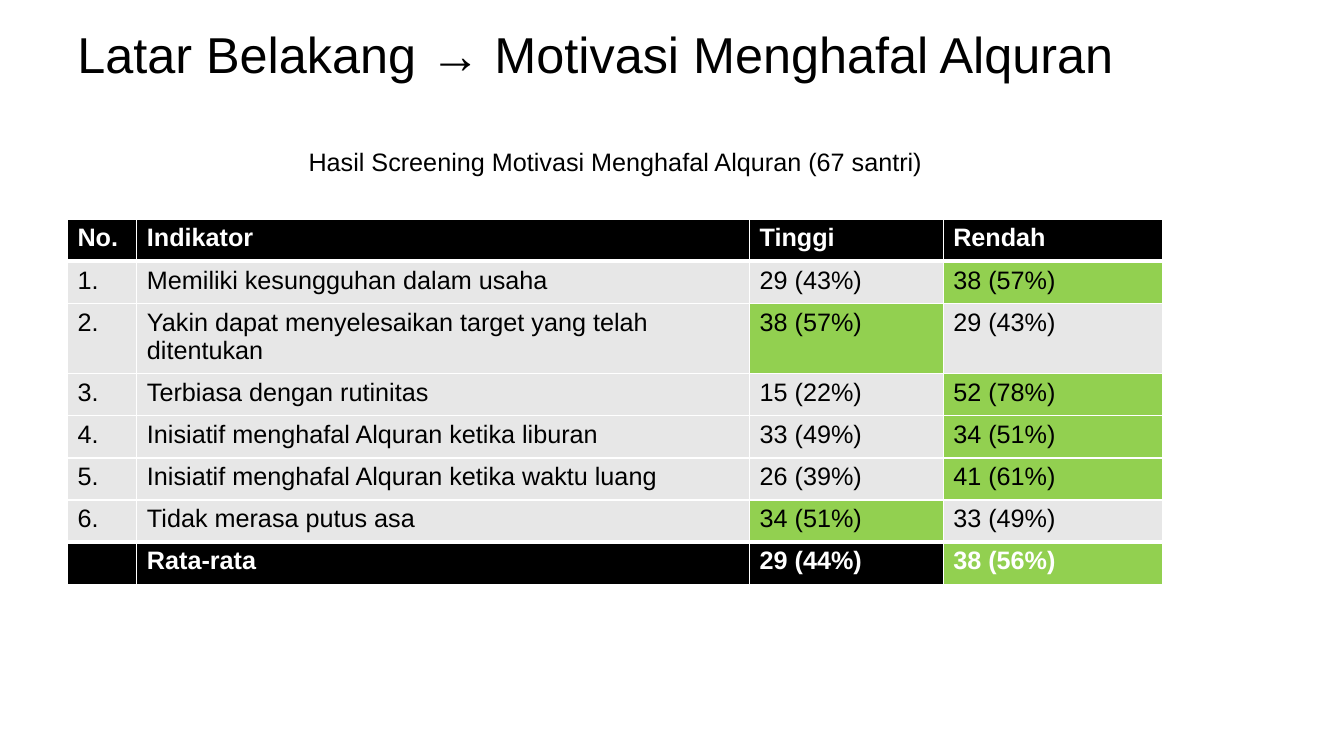
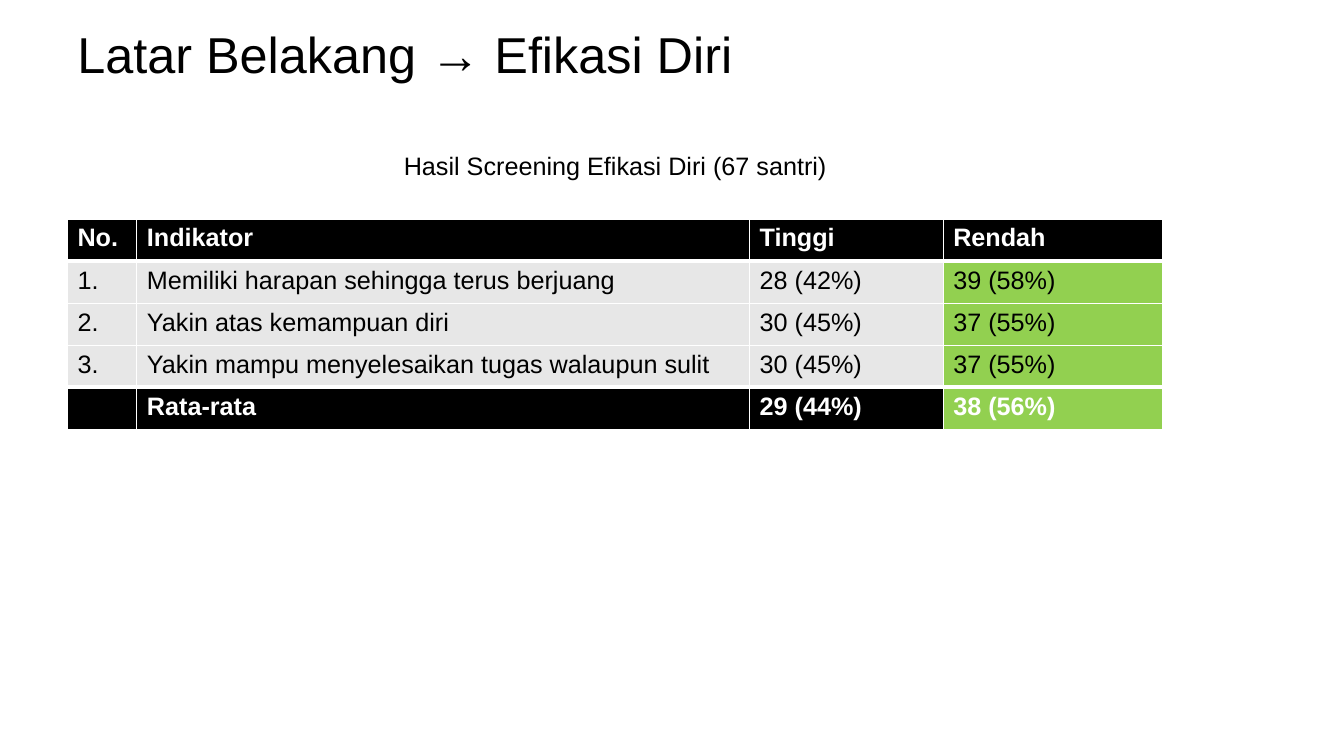
from dataclasses import dataclass

from lxml.etree import SubElement
from pptx import Presentation
from pptx.dml.color import RGBColor
from pptx.enum.text import MSO_ANCHOR as Anchor, PP_ALIGN as Align
from pptx.oxml.ns import qn
from pptx.util import Cm, Pt

FONT = "Arial"
BLACK, WHITE, GREY, GREEN = "000000", "FFFFFF", "E7E7E7", "92D050"
THIN, THICK = 1, 3
COLUMN_WIDTHS = [1.75, 15.44, 4.88, 5.54]
ROW_HEIGHT = 1.06
HEADINGS = ["No.", "Indikator", "Tinggi", "Rendah"]


@dataclass
class Box:
    left: float
    top: float
    width: float
    height: float

    def lengths(self):
        return [Cm(side) for side in (self.left, self.top, self.width, self.height)]


PAGE = Box(0, 0, 33.87, 19.05)
TITLE = Box(1.7, 0.53, 30.48, 1.63)
TABLE_LEFT, TABLE_TOP = 1.7, 5.52

SCREENINGS = [
    {
        "title": "Latar Belakang → Motivasi Menghafal Alquran",
        "caption": "Hasil Screening Motivasi Menghafal Alquran (67 santri)",
        "caption_top": 3.56,
        "indicators": [
            ("Memiliki kesungguhan dalam usaha", "29 (43%)", "38 (57%)"),
            ("Yakin dapat menyelesaikan target yang telah ditentukan", "38 (57%)", "29 (43%)"),
            ("Terbiasa dengan rutinitas", "15 (22%)", "52 (78%)"),
            ("Inisiatif menghafal Alquran ketika liburan", "33 (49%)", "34 (51%)"),
            ("Inisiatif menghafal Alquran ketika waktu luang", "26 (39%)", "41 (61%)"),
            ("Tidak merasa putus asa", "34 (51%)", "33 (49%)"),
        ],
        "average": ("Rata-rata", "29 (44%)", "38 (56%)"),
    },
    {
        "title": "Latar Belakang → Efikasi Diri",
        "caption": "Hasil Screening Efikasi Diri (67 santri)",
        "caption_top": 3.66,
        "indicators": [
            ("Memiliki harapan sehingga terus berjuang", "28 (42%)", "39 (58%)"),
            ("Yakin atas kemampuan diri", "30 (45%)", "37 (55%)"),
            ("Yakin mampu menyelesaikan tugas walaupun sulit", "30 (45%)", "37 (55%)"),
        ],
        "average": ("Rata-rata", "29 (44%)", "38 (56%)"),
    },
]


def color(hex_code):
    return RGBColor.from_string(hex_code)


def add_span(para, text, size, ink=BLACK, bold=False):
    span = para.add_run()
    span.text = text
    span.font.name = FONT
    span.font.size = Pt(size)
    span.font.bold = bold
    span.font.color.rgb = color(ink)


def add_line_of_text(page, box, text, size, align=Align.LEFT):
    frame = page.shapes.add_textbox(*box.lengths()).text_frame
    frame.word_wrap = True
    frame.vertical_anchor = Anchor.MIDDLE
    para = frame.paragraphs[0]
    para.alignment = align
    add_span(para, text, size)


def add_borders(cell, top, bottom):
    properties = cell._tc.get_or_add_tcPr()
    for side, weight in (("L", THIN), ("R", THIN), ("T", top), ("B", bottom)):
        line = SubElement(properties, qn(f"a:ln{side}"), w=str(Pt(weight)))
        SubElement(SubElement(line, qn("a:solidFill")), qn("a:srgbClr"), val=WHITE)


def fill_cell(cell, text, background, ink, bold):
    cell.fill.solid()
    cell.fill.fore_color.rgb = color(background)
    if text:
        add_span(cell.text_frame.paragraphs[0], text, 18, ink, bold)


def higher_column(row):
    counts = [int(score.split()[0]) for score in row[2:]]
    return 2 + counts.index(max(counts))


def add_score_table(page, box, rows):
    table = page.shapes.add_table(len(rows), len(HEADINGS), *box.lengths()).table
    table.horz_banding = False
    for column, width in zip(table.columns, COLUMN_WIDTHS):
        column.width = Cm(width)
    last = len(rows) - 1
    for index, row in enumerate(rows):
        table.rows[index].height = Cm(ROW_HEIGHT)
        strong = index in (0, last)
        marked = higher_column(row) if index else None
        top = THICK if index in (1, last) else THIN
        bottom = THICK if index in (0, last - 1) else THIN
        for place, text in enumerate(row):
            cell = table.cell(index, place)
            add_borders(cell, top, bottom)
            plain = BLACK if strong else GREY
            background = GREEN if place == marked else plain
            fill_cell(cell, text, background, WHITE if strong else BLACK, strong)


def add_screening_page(deck, screening):
    page = deck.slides.add_slide(deck.slide_layouts[6])
    numbered = [(f"{number}.", *row) for number, row in enumerate(screening["indicators"], 1)]
    rows = [HEADINGS, *numbered, ("", *screening["average"])]
    table_box = Box(TABLE_LEFT, TABLE_TOP, sum(COLUMN_WIDTHS), ROW_HEIGHT * len(rows))
    caption_box = Box(table_box.left, screening["caption_top"], table_box.width, 1.02)
    add_line_of_text(page, TITLE, screening["title"], 36)
    add_score_table(page, table_box, rows)
    add_line_of_text(page, caption_box, screening["caption"], 18, Align.CENTER)


def main():
    deck = Presentation()
    deck.slide_width, deck.slide_height = Cm(PAGE.width), Cm(PAGE.height)
    for screening in SCREENINGS:
        add_screening_page(deck, screening)
    deck.save("out.pptx")


if __name__ == "__main__":
    main()
